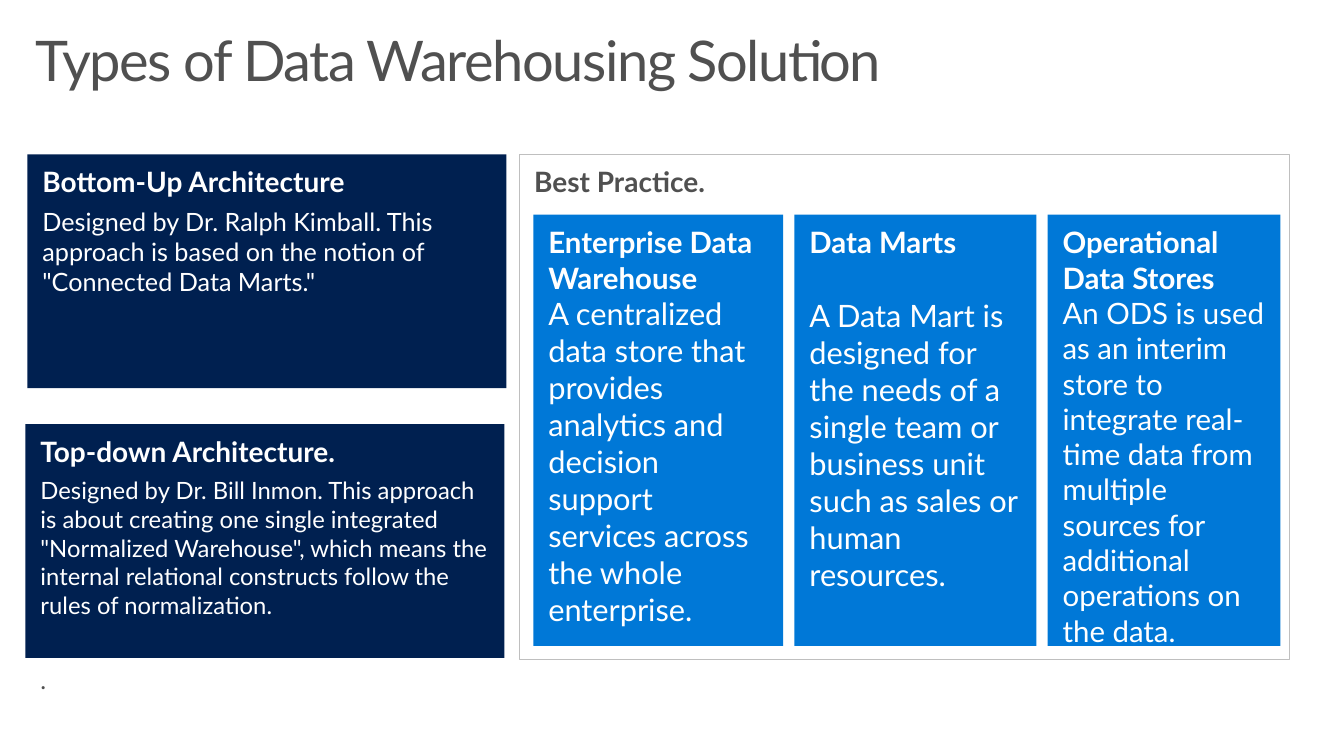
from pptx import Presentation
from pptx.dml.color import RGBColor
from pptx.enum import shapes, text
from pptx.util import Cm, Pt

NAVY = RGBColor(0x00, 0x20, 0x50)
BLUE = RGBColor(0x00, 0x78, 0xD7)
GREY = RGBColor(0x50, 0x50, 0x50)
SILVER = RGBColor(0xBF, 0xBF, 0xBF)
WHITE = RGBColor(0xFF, 0xFF, 0xFF)

FONT = "Lato"
PANEL_TOP, PANEL_WIDTH, PANEL_HEIGHT = 3.89, 12.07, 5.89
CARD_LEFT, CARD_TOP, CARD_HEIGHT, CARD_GAP = 13.44, 5.41, 10.87, 0.28

FRAME_FORMAT = {
    "word_wrap": True,
    "auto_size": text.MSO_AUTO_SIZE.NONE,
    "vertical_anchor": text.MSO_ANCHOR.TOP,
}
BOX_MARGINS = {
    "margin_left": Cm(0.38), "margin_right": Cm(0.38),
    "margin_top": Cm(0.25), "margin_bottom": Cm(0.25),
}
TITLE_MARGINS = {
    "margin_left": Cm(0.25), "margin_right": 0,
    "margin_top": 0, "margin_bottom": 0,
}

# Cards: width, heading, space after heading, body, body size
CARDS = [
    (6.3, "Enterprise Data Warehouse", 0,
     "A centralized data store that provides analytics and decision support "
     "services across the whole enterprise.", 22),
    (6.1, "Data Marts", 26.4,
     "A Data Mart is designed for the needs of a single team or business unit "
     "such as sales or human resources.", 22),
    (5.87, "Operational Data Stores", 0,
     "An ODS is used as an interim store to integrate real-time data from "
     "multiple sources for additional operations on the data.", 21),
]


def apply(target, values):
    for name, value in values.items():
        setattr(target, name, value)


def write(p, wording, size, color=WHITE, bold=False, before=0, after=0):
    apply(p, {"alignment": text.PP_ALIGN.LEFT,
              "space_before": Pt(before), "space_after": Pt(after)})
    r = p.add_run()
    r.text = wording
    apply(r.font, {"name": FONT, "size": Pt(size), "bold": bold})
    r.font.color.rgb = color
    return r


def add_title(s, wording):
    sp = s.shapes.title
    apply(sp, {"left": Cm(0.64), "top": Cm(0.64),
               "width": Cm(32.49), "height": Cm(2.54)})
    tf = sp.text_frame
    apply(tf, {**FRAME_FORMAT, **TITLE_MARGINS})
    r = write(tf.paragraphs[0], wording, 40, GREY)
    r.font._element.set("spc", "-100")


def add_box(s, left, top, width, height, paragraphs, fill=None):
    """Add a rectangle; without a fill it gets a thin outline instead."""
    sp = s.shapes.add_shape(shapes.MSO_SHAPE.RECTANGLE,
                            Cm(left), Cm(top), Cm(width), Cm(height))
    sp.shadow.inherit = False
    if fill is None:
        sp.fill.background()
        sp.line.color.rgb = SILVER
        sp.line.width = Pt(0.5)
    else:
        sp.fill.solid()
        sp.fill.fore_color.rgb = fill
        sp.line.fill.background()
    tf = sp.text_frame
    apply(tf, {**FRAME_FORMAT, **BOX_MARGINS})
    for i, values in enumerate(paragraphs):
        write(tf.add_paragraph() if i else tf.paragraphs[0], **values)


def add_panel(s, left, top, heading, *body):
    title = {"wording": heading, "size": 20, "bold": True, "after": 6}
    add_box(s, left, top, PANEL_WIDTH, PANEL_HEIGHT, [title, *body], NAVY)


def add_cards(s):
    left = CARD_LEFT
    for width, heading, after, body, size in CARDS:
        add_box(s, left, CARD_TOP, width, CARD_HEIGHT, [
            {"wording": heading, "size": 21, "bold": True, "after": after},
            {"wording": body, "size": size},
        ], BLUE)
        left += width + CARD_GAP


def main():
    prs = Presentation()
    apply(prs, {"slide_width": Cm(33.87), "slide_height": Cm(19.05)})
    s = prs.slides.add_slide(prs.slide_layouts[5])
    add_title(s, "Types of Data Warehousing Solution")
    add_panel(
        s, 0.69, PANEL_TOP, "Bottom-Up Architecture",
        {"wording": "Designed by Dr. Ralph Kimball. This approach is based on "
                    "the notion of \"Connected Data Marts.\"", "size": 18})
    add_panel(
        s, 0.64, 10.69, "Top-down Architecture.",
        {"wording": "Designed by Dr. Bill Inmon. This approach is about "
                    "creating one single integrated \"Normalized Warehouse\", "
                    "which means the internal relational constructs follow "
                    "the rules of normalization.", "size": 17, "after": 6},
        {"wording": ".", "size": 17.6, "color": GREY, "before": 26.4})
    add_box(s, 13.08, PANEL_TOP, 19.41, 12.73, [
        {"wording": "Best Practice.", "size": 20, "color": GREY, "bold": True}])
    add_cards(s)
    prs.save("out.pptx")


if __name__ == "__main__":
    main()
